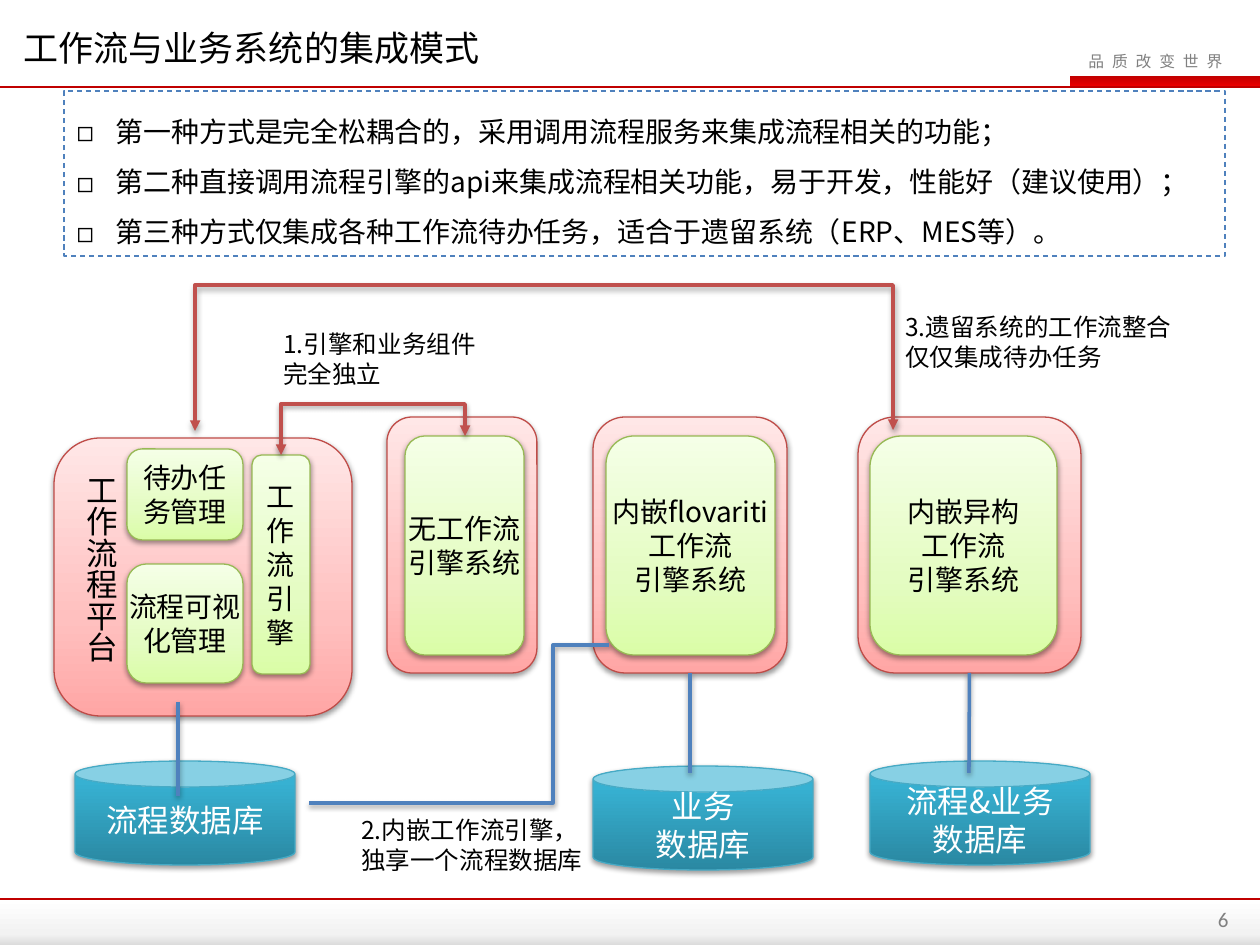
from lxml.etree import SubElement
from pptx import Presentation
from pptx.dml.color import RGBColor
from pptx.enum.dml import MSO_LINE_DASH_STYLE as Dash
from pptx.enum.shapes import MSO_CONNECTOR as Connector, MSO_SHAPE as Shape
from pptx.enum.text import MSO_ANCHOR as Anchor, MSO_AUTO_SIZE as AutoSize, PP_ALIGN as Align
from pptx.oxml.ns import qn
from pptx.util import Emu, Pt

FONT = "Noto Sans CJK SC"
PINK = [(0, "FFA6A5"), (35, "FFC0BF"), (100, "FFE7E7")]
GREEN = [(0, "DAFDA7"), (35, "E4FCC2"), (100, "F5FFE7")]
TEAL = [(0, "2A88A2"), (80, "37B1D2"), (100, "34B4D6")]
RED, BLUE, DARK_RED = "C0504D", "4F81BD", "C00000"


def px(value):
    """Turn slide pixels into EMU at 126 pixels to the inch."""
    return Emu(round(value * 914400 / 126))


def color(hex_text):
    """Give the colour for a hex string."""
    return RGBColor.from_string(hex_text)


def write(frame, lines, size, ink="000000", align=Align.LEFT, font=FONT, spacing=1.21):
    """Write each line as a paragraph with one formatted run."""
    for index, line in enumerate(lines):
        para = frame.paragraphs[0] if index == 0 else frame.add_paragraph()
        para.alignment = align
        para.line_spacing = Pt(round(size * spacing, 1))
        para.space_before = Pt(0)
        span = para.add_run()
        span.text = line
        span.font.size = Pt(size)
        span.font.color.rgb = color(ink)
        span.font.name = font
        SubElement(span._r.get_or_add_rPr(), qn("a:ea"), typeface=font)


def add_effects(item, shadow=True):
    """Give an item a soft shadow below it, or an empty effect list."""
    effects = SubElement(item._element.spPr, qn("a:effectLst"))
    if shadow:
        outer = SubElement(effects, qn("a:outerShdw"), blurRad=str(Pt(3.1)), dist=str(Pt(1.6)),
                           dir="5400000", rotWithShape="0")
        black = SubElement(outer, qn("a:srgbClr"), val="000000")
        SubElement(black, qn("a:alpha"), val="38000")


def fill_gradient(shape, stops, angle):
    """Fill a shape with gradient stops given in percent."""
    shape.fill.gradient()
    shape.fill.gradient_angle = angle
    stop_list = shape._element.spPr.find(qn("a:gradFill")).find(qn("a:gsLst"))
    stop_list.clear()
    for position, hex_text in stops:
        stop = SubElement(stop_list, qn("a:gs"), pos=str(position * 1000))
        SubElement(stop, qn("a:srgbClr"), val=hex_text)


def add_block(page, kind, area, stops, border, lines=(), size=16, ink="000000"):
    """Add a shadowed gradient shape with centred lines."""
    block = page.shapes.add_shape(kind, *map(px, area))
    fill_gradient(block, stops, 90)
    block.line.color.rgb = color(border)
    block.line.width = Pt(0.75)
    add_effects(block)
    block.text_frame.word_wrap = False
    block.text_frame.vertical_anchor = Anchor.MIDDLE
    write(block.text_frame, lines, size, ink, Align.CENTER)
    return block


def add_frame(page, *area):
    """Add a pink system frame."""
    return add_block(page, Shape.ROUNDED_RECTANGLE, area, PINK, "BF4C48")


def add_module(page, area, *lines):
    """Add a green module."""
    return add_block(page, Shape.ROUNDED_RECTANGLE, area, GREEN, "98B955", lines)


def add_database(page, left, top, *lines):
    """Add a database cylinder."""
    return add_block(page, Shape.CAN, (left, top, 220, 104), TEAL, "46AAC5", lines, 18, "FFFFFF")


def add_bar(page, area, stops):
    """Add a borderless gradient bar."""
    bar = page.shapes.add_shape(Shape.RECTANGLE, *map(px, area))
    bar.shadow.inherit = False
    fill_gradient(bar, stops, 270)
    bar.line.fill.background()


def add_label(page, area, text, size=14, wrap=True, **style):
    """Add a text box with one paragraph."""
    box = page.shapes.add_textbox(*map(px, area))
    box.text_frame.word_wrap = wrap
    write(box.text_frame, [text], size, **style)
    return box


def add_line(page, start, end, ink, width=2, kind=Connector.STRAIGHT, shadow=True):
    """Add a connector between two points."""
    line = page.shapes.add_connector(kind, *map(px, (*start, *end)))
    line.line.color.rgb = color(ink)
    line.line.width = Pt(width)
    add_effects(line, shadow)
    return line


def set_bend(line, ratio):
    """Place the middle segment of an elbow connector."""
    geometry = line._element.spPr.find(qn("a:prstGeom"))
    guides = geometry.find(qn("a:avLst"))
    if guides is None:
        guides = SubElement(geometry, qn("a:avLst"))
    SubElement(guides, qn("a:gd"), name="adj1", fmla=f"val {round(ratio * 100000)}")


def add_bridge(page, start, end, top):
    """Add a double-headed elbow that rises to top and comes down again."""
    middle_x, middle_y = (start[0] + end[0]) / 2, (start[1] + end[1]) / 2
    half_rise, half_span = (start[1] - end[1]) / 2, (end[0] - start[0]) / 2
    line = add_line(page, (middle_x + half_rise, middle_y + half_span),
                    (middle_x - half_rise, middle_y - half_span), RED, kind=Connector.ELBOW)
    line._element.spPr.find(qn("a:xfrm")).set("rot", "5400000")
    set_bend(line, (start[1] - top) / (start[1] - end[1]))
    outline = line.line._get_or_add_ln()
    for end_name in ("a:headEnd", "a:tailEnd"):
        SubElement(outline, qn(end_name), type="triangle")


def move(holder, *area):
    """Move a placeholder to an area."""
    holder.left, holder.top, holder.width, holder.height = map(px, area)


def add_master_parts(page):
    """Add the header and footer decoration."""
    add_bar(page, (1070, 76, 190, 11), [(0, DARK_RED), (100, "EE0000")])
    slogan = add_label(page, (1076, 45, 171, 32), "品 质 改 变 世 界", 9, False, ink="808080")
    slogan.text_frame.paragraphs[0].runs[0].font._element.set("spc", "125")
    add_line(page, (0, 87), (1260, 87), DARK_RED, 1.5, shadow=False)
    add_bar(page, (0, 899, 1260, 46), [(0, "FFFFFF"), (75, "F2F2F2"), (100, "DCDCDC")])
    add_line(page, (0, 899), (1260, 899), DARK_RED, 1, shadow=False)
    add_label(page, (1182, 900, 59, 50), "6", 12, ink="808080", align=Align.RIGHT, font="Calibri")


def fill_placeholders(page):
    """Write the title and the bulleted summary."""
    title, body = page.placeholders
    move(title, 11, 15, 895, 48)
    title.text_frame.vertical_anchor = Anchor.TOP
    title.text_frame.auto_size = AutoSize.NONE
    write(title.text_frame, ["工作流与业务系统的集成模式"], 20, spacing=1.35)
    move(body, 64, 91, 1161, 165)
    body.fill.solid()
    body.fill.fore_color.rgb = color("FFFFFF")
    body.line.color.rgb = color(BLUE)
    body.line.width = Pt(0.75)
    body.line.dash_style = Dash.DASH
    body.text_frame.auto_size = AutoSize.NONE
    write(body.text_frame, [
        "第一种方式是完全松耦合的，采用调用流程服务来集成流程相关的功能；",
        "第二种直接调用流程引擎的api来集成流程相关功能，易于开发，性能好（建议使用）；",
        "第三种方式仅集成各种工作流待办任务，适合于遗留系统（ERP、MES等）。",
    ], 16, spacing=1.8)
    for para in body.text_frame.paragraphs:
        settings = para._p.get_or_add_pPr()
        settings.set("marL", str(px(39)))
        settings.set("indent", str(px(-39)))
        SubElement(settings, qn("a:buFont"), typeface=FONT)
        SubElement(settings, qn("a:buChar"), char="◻")


def add_systems(page):
    """Add the platform, the three systems and their databases."""
    add_frame(page, 54, 438, 298, 278)
    platform = add_label(page, (64, 462, 63, 224), "工作流程平台", 18)
    platform.text_frame._txBody.bodyPr.set("vert", "eaVert")
    add_module(page, (127, 449, 116, 91), "待办任", "务管理")
    add_module(page, (127, 564, 116, 119), "流程可视", "化管理")
    add_module(page, (252, 455, 58, 219), *"工作流引擎")
    add_frame(page, 387, 417, 150, 256)
    add_module(page, (405, 436, 119, 219), "无工作流", "引擎系统")
    embedded = add_frame(page, 593, 417, 194, 256)
    add_module(page, (606, 436, 169, 219), "内嵌flovariti", "工作流", "引擎系统")
    legacy = add_frame(page, 858, 417, 223, 256)
    add_module(page, (870, 436, 187, 219), "内嵌异构", "工作流", "引擎系统")
    add_database(page, 75, 761, "流程数据库")
    add_database(page, 593, 766, "业务", "数据库")
    add_database(page, 870, 761, "流程&业务", "数据库")
    add_line(page, (178, 702), (178, 796), BLUE)
    for frame, x in ((embedded, 690), (legacy, 969)):
        add_line(page, (x, 673), (x, 773), BLUE).begin_connect(frame, 2)


def add_integrations(page):
    """Add the three integration paths and their captions."""
    add_bridge(page, (281, 455), (465, 436), 404)
    add_bridge(page, (195, 431), (893, 430), 284)
    shared = add_line(page, (609, 645), (309, 803), BLUE, kind=Connector.ELBOW)
    set_bend(shared, (609 - 553) / (609 - 309))
    add_label(page, (271, 323, 226, 72), "1.引擎和业务组件完全独立")
    add_label(page, (349, 809, 257, 72), "2.内嵌工作流引擎，独享一个流程数据库")
    add_label(page, (893, 306, 302, 72), "3.遗留系统的工作流整合仅仅集成待办任务")


def main():
    """Build the slide and save it."""
    deck = Presentation()
    deck.slide_width, deck.slide_height = px(1260), px(945)
    page = deck.slides.add_slide(deck.slide_layouts[1])
    add_master_parts(page)
    fill_placeholders(page)
    add_systems(page)
    add_integrations(page)
    deck.save("out.pptx")


if __name__ == "__main__":
    main()
